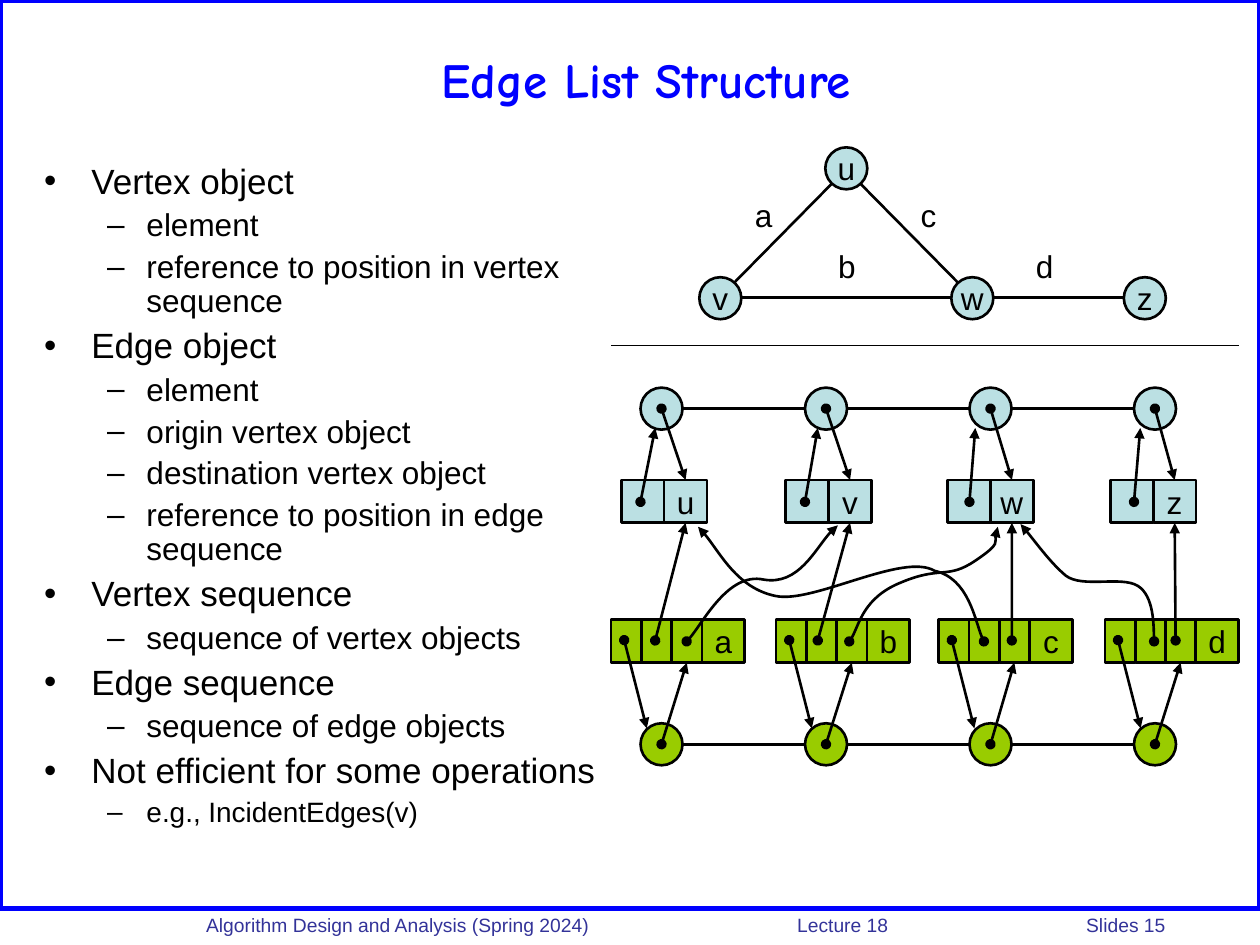
import pptx
import pptx.util
import pptx.dml.color
import pptx.enum.shapes
import pptx.enum.text
import pptx.oxml.ns
import lxml.etree

Pt = pptx.util.Pt
KIND = pptx.enum.shapes.MSO_SHAPE
ALIGN = pptx.enum.text.PP_ALIGN
ANCHOR = pptx.enum.text.MSO_ANCHOR
qn = pptx.oxml.ns.qn

COLORS = {"blue": "0000FF", "navy": "333399", "black": "000000",
          "aqua": "BBE0E3", "green": "99CC00"}

# Content
TITLE = "Edge List Structure"
FOOTER = "Algorithm Design and Analysis (Spring 2024)\tLecture 18\tSlides 15"
POINTS = [  # level, size, text
    (0, 20, "Vertex object"),
    (1, 18, "element"),
    (1, 18, "reference to position in vertex sequence"),
    (0, 20, "Edge object"),
    (1, 18, "element"),
    (1, 18, "origin vertex object"),
    (1, 18, "destination vertex object"),
    (1, 18, "reference to position in edge sequence"),
    (0, 20, "Vertex sequence"),
    (1, 18, "sequence of vertex objects"),
    (0, 20, "Edge sequence"),
    (1, 18, "sequence of edge objects"),
    (0, 20, "Not efficient for some operations"),
    (1, 16, "e.g., IncidentEdges(v)"),
]
NODES = {"v": (399.6, 158.4), "u": (471.6, 84.2),
         "w": (543.6, 158.4), "z": (642.2, 158.4)}  # left, top
EDGES = [  # label, label centre and top, line ends
    ("a", 436.3, 108.7, (475.2, 105.1), (419.8, 161.3)),
    ("b", 483.8, 137.5, (542.9, 169.9), (424.1, 169.9)),
    ("c", 530.6, 108.7, (491.8, 105.1), (547.2, 161.3)),
    ("d", 596.9, 137.5, (641.5, 169.9), (568.1, 169.9)),
]
RECORDS = [  # vertex, its left, back arrow tip; edge, its left, pointer start
    ("u", 355, 374.4, "a", 349.2, 374.4),
    ("v", 449, 467.3, "b", 443.5, 467.3),
    ("w", 541.5, 557.3, "c", 536.4, 578.2),
    ("z", 634.5, 651.6, "d", 631.4, 671.8),
]
CURVES = [  # start, then two controls and an end for each arc
    [(392.4, 366.5), (399.6, 360), (416.2, 326.9), (436.3, 331.2),
     (456.5, 334.8), (469.4, 306.7), (478.8, 300.2)],
    [(485.3, 366.5), (490.3, 360.7), (493.2, 341.3), (515.5, 332.6),
     (537.8, 323.3), (541.4, 331.2), (557.3, 320.4),
     (572.4, 310.3), (567.4, 305.3), (570.2, 301)],
    [(562.3, 366.5), (558, 359.3), (553.7, 330.5), (534.2, 326.2),
     (516.2, 315.4), (465.1, 344.9), (443.5, 340.6),
     (421.2, 336.2), (408.2, 309.6), (398.9, 301)],
    [(659.5, 366.5), (659.5, 366.5), (659.5, 340.6), (650.2, 334.8),
     (640.8, 329), (618.5, 336.2), (609.1, 329),
     (600.5, 321.8), (589, 306), (583.2, 299.5)],
]

# Sizes
DISK, CELL, SLOT = 24, 24.5, 17.3
FIRST, PITCH = 378, 94       # ring centres
RING_V, RING_E = 233.5, 425.3
ROW_V, ROW_E = 274.3, 354.2


def rgb(name):
    return pptx.dml.color.RGBColor.from_string(COLORS[name])


def write(frame, text, size=18, font="Arial", color="black", bold=False,
          align=ALIGN.CENTER, para=None):
    para = para or frame.paragraphs[0]
    para.alignment = align
    run = para.add_run()
    run.text = text
    run.font.size, run.font.name, run.font.bold = Pt(size), font, bold
    run.font.color.rgb = rgb(color)


def place(shape, *box):
    shape.left, shape.top, shape.width, shape.height = map(Pt, box)


def ink(shape, width=1.5, color="black", arrow=False):
    shape.line.color.rgb = rgb(color)
    shape.line.width = Pt(width)
    if arrow:
        line = shape._element.spPr.find(qn("a:ln"))
        lxml.etree.SubElement(line, qn("a:headEnd"), type="oval")
        lxml.etree.SubElement(line, qn("a:tailEnd"), type="triangle")


def draw(kind, box, fill=None, text="", **line):
    shape = shapes.add_shape(kind, *map(Pt, box))
    shape.shadow.inherit = False
    if fill:
        shape.fill.solid()
        shape.fill.fore_color.rgb = rgb(fill)
    else:
        shape.fill.background()
    ink(shape, **line)
    if text:
        shape.text_frame.word_wrap = False
        shape.text_frame.vertical_anchor = ANCHOR.MIDDLE
        write(shape.text_frame, text)
    return shape


def link(start, end, goal=None, side=0, **line):
    wire = shapes.add_connector(pptx.enum.shapes.MSO_CONNECTOR.STRAIGHT,
                                *map(Pt, start + end))
    if goal is not None:
        wire.end_connect(goal, side)
    ink(wire, **line)
    lxml.etree.SubElement(wire._element.spPr, qn("a:effectLst"))


def curve(points):
    spots = [(Pt(x), Pt(y)) for x, y in points]
    maker = shapes.build_freeform(*spots[0])
    maker.add_line_segments(spots[1:], close=False)
    shape = maker.convert_to_shape()
    shape.fill.background()
    shape.shadow.inherit = False
    ink(shape, arrow=True)
    # Each three straight steps become one cubic arc
    steps = list(shape._element.iter(qn("a:lnTo")))
    track = steps[0].getparent()
    for i in range(0, len(steps), 3):
        arc = lxml.etree.SubElement(track, qn("a:cubicBezTo"))
        for step in steps[i:i + 3]:
            arc.append(step[0])
            track.remove(step)


deck = pptx.Presentation()
deck.slide_width, deck.slide_height = Pt(720), Pt(540)
slide = deck.slides.add_slide(deck.slide_layouts[1])
shapes = slide.shapes

# Frame and footer
draw(KIND.RECTANGLE, (0, 0, 720, 519), width=3, color="blue")
foot = shapes.add_textbox(*map(Pt, (95.8, 518.4, 624.2, 18.7))).text_frame
foot.word_wrap, foot.margin_left = True, Pt(22)
write(foot, FOOTER, size=11, color="navy", align=ALIGN.LEFT)
tabs = lxml.etree.SubElement(foot.paragraphs[0]._p.get_or_add_pPr(), qn("a:tabLst"))
for stop in (337.7, 502.9):
    lxml.etree.SubElement(tabs, qn("a:tab"), pos=str(Pt(stop)), algn="l")

# Title and list
title, body = shapes.title, slide.placeholders[1]
place(title, 48.2, 12.2, 642.2, 66.2)
place(body, 18, 90, 342, 401.8)
for holder in (title, body):
    holder.text_frame.auto_size = pptx.enum.text.MSO_AUTO_SIZE.NONE
write(title.text_frame, TITLE, size=28, font="Comic Neue", color="blue", bold=True)
for n, (level, size, text) in enumerate(POINTS):
    para = body.text_frame.add_paragraph() if n else body.text_frame.paragraphs[0]
    para.level = level
    props = para._p.get_or_add_pPr()
    left, hang, mark = ((27, 27, "•"), (58.5, 22.5, "–"))[level]
    props.set("marL", str(Pt(left)))
    props.set("indent", str(-Pt(hang)))
    lxml.etree.SubElement(props, qn("a:buChar"), char=mark)
    para.line_spacing = 0.9
    para.space_before = Pt(size / 4 if n else 0)
    write(body.text_frame, text, size=size, align=ALIGN.LEFT, para=para)

# Graph
for name, spot in NODES.items():
    draw(KIND.OVAL, spot + (DISK, DISK), "aqua", name)
for name, mid, top, start, end in EDGES:
    link(start, end)
    label = shapes.add_textbox(*map(Pt, (mid - 12, top, 24, 28.8))).text_frame
    label.word_wrap = False
    write(label, name)
link((349.2, 197.3), (707.8, 197.3), width=0.75)

# Rings of vertex and edge positions
for y, fill in ((RING_V, "aqua"), (RING_E, "green")):
    link((FIRST + 3 * PITCH - 12, y), (FIRST + 12, y))
    for i in range(4):
        draw(KIND.OVAL, (FIRST + i * PITCH - 12, y - 12, DISK, DISK), fill)

# Records and their pointers
for i, (node, vleft, back, edge, eleft, start) in enumerate(RECORDS):
    mid = FIRST + i * PITCH
    draw(KIND.RECTANGLE, (vleft, ROW_V, CELL, CELL), "aqua")
    vbox = draw(KIND.RECTANGLE, (vleft + CELL, ROW_V, CELL, CELL), "aqua", node)
    slots = [draw(KIND.RECTANGLE, (eleft + k * SLOT, ROW_E, SLOT, CELL), "green")
             for k in range(3)]
    draw(KIND.RECTANGLE, (eleft + 3 * SLOT, ROW_E, CELL, CELL), "green", edge)
    link((mid, RING_V), (vleft + 36.75, ROW_V), vbox, 0, arrow=True)
    link((mid - 12, 286.8), (back, 244.6), arrow=True)
    link((start, 366), (vleft + 36.75, ROW_V + CELL), vbox, 2, arrow=True)
    link((eleft + 7.5, 365.8), (eleft + 20.4, 416.2), arrow=True)
    link((mid, RING_E), (eleft + 2.5 * SLOT, ROW_E + CELL), slots[2], 2, arrow=True)
for points in CURVES:
    curve(points)

deck.save("out.pptx")
